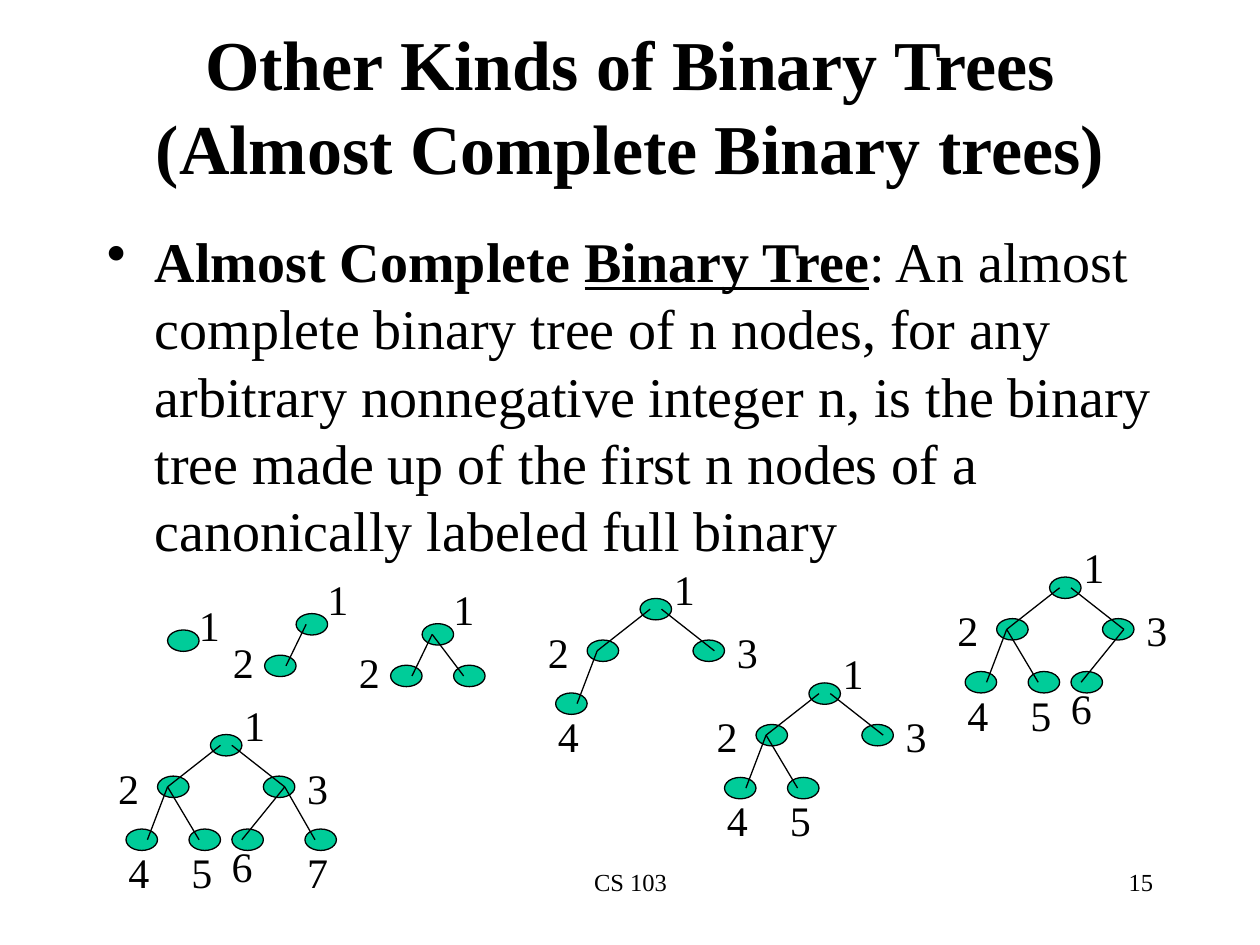
from dataclasses import dataclass
from typing import Optional

import pptx
import pptx.dml.color
import pptx.enum.shapes
import pptx.enum.text
import pptx.oxml.ns
import pptx.util
from lxml import etree

Inches = pptx.util.Inches
Pt = pptx.util.Pt
ALIGN = pptx.enum.text.PP_ALIGN

COLORS = {"text": "000000", "line": "000000", "node": "00CC99"}
FONT = "Times New Roman"
NODE_W, NODE_H = 0.25, 0.17
LABEL_W, LABEL_H = 0.36, 0.5
EDGE_LEFT, EDGE_RIGHT = 0.08, 0.17  # where edges meet a node, from its left side


@dataclass(frozen=True)
class Node:
    """A node placed relative to the root, its label and the edge from its parent."""
    x: float
    y: float
    label: str = ""
    label_x: float = 0
    label_y: float = 0
    parent: Optional[int] = None
    edge_start: float = EDGE_LEFT
    edge_end: float = EDGE_LEFT


@dataclass(frozen=True)
class Tree:
    x: float
    y: float
    nodes: list[Node]


LARGE = [
    Node(0, 0, "1", 0.17, -0.33),
    Node(-0.42, 0.33, "2", -0.83, 0.17, 0),
    Node(0.42, 0.33, "3", 0.67, 0.17, 0, EDGE_RIGHT, EDGE_RIGHT),
    Node(-0.67, 0.75, "4", -0.75, 0.84, 1, EDGE_LEFT, EDGE_RIGHT),
    Node(-0.17, 0.75, "5", -0.25, 0.84, 1),
    Node(0.17, 0.75, "6", 0.07, 0.79, 2, EDGE_RIGHT),
    Node(0.75, 0.75, "7", 0.67, 0.84, 2, EDGE_RIGHT),
]
SMALL = [
    Node(0, 0, "1", 0.15, -0.37),
    Node(-0.25, 0.33, "2", -0.6, 0.13, 0, EDGE_LEFT, EDGE_RIGHT),
    Node(0.25, 0.33, parent=0),
]
SINGLE = [Node(0, 0, "1", 0.15, -0.29)]

TREES = [
    Tree(1.33, 5, SINGLE),
    Tree(2.35, 4.87, SMALL[:2]),
    Tree(3.35, 4.95, SMALL),
    Tree(5.08, 4.75, LARGE[:4]),
    Tree(6.42, 5.42, LARGE[:5]),
    Tree(8.33, 4.58, LARGE[:6]),
    Tree(1.67, 5.83, LARGE),
]


def rgb(name: str) -> pptx.dml.color.RGBColor:
    return pptx.dml.color.RGBColor.from_string(COLORS[name])


def style(font, size: float, bold: bool = False) -> None:
    font.name, font.size, font.bold = FONT, Pt(size), bold
    font.color.rgb = rgb("text")


def add_text(s, text: str, x: float, y: float, w: float, h: float,
             size: float, align, wrap: bool = True) -> None:
    tf = s.shapes.add_textbox(Inches(x), Inches(y), Inches(w), Inches(h)).text_frame
    tf.word_wrap = wrap
    tf.text = text
    p = tf.paragraphs[0]
    p.alignment = align
    style(p.runs[0].font, size)


def add_node(s, x: float, y: float) -> None:
    sp = s.shapes.add_shape(pptx.enum.shapes.MSO_SHAPE.OVAL, Inches(x), Inches(y),
                            Inches(NODE_W), Inches(NODE_H))
    sp.shadow.inherit = False
    sp.fill.solid()
    sp.fill.fore_color.rgb = rgb("node")
    sp.line.color.rgb = rgb("line")
    sp.line.width = Pt(0.75)


def add_edge(s, x1: float, y1: float, x2: float, y2: float) -> None:
    edge = s.shapes.add_connector(pptx.enum.shapes.MSO_CONNECTOR.STRAIGHT,
                                  Inches(x1), Inches(y1), Inches(x2), Inches(y2))
    edge.line.color.rgb = rgb("line")
    edge.line.width = Pt(0.75)
    etree.SubElement(edge._element.spPr, pptx.oxml.ns.qn("a:effectLst"))


def add_tree(s, tree: Tree) -> None:
    for node in tree.nodes:
        add_node(s, tree.x + node.x, tree.y + node.y)
    mid = tree.y + NODE_H / 2
    for node in tree.nodes:
        if node.parent is not None:
            parent = tree.nodes[node.parent]
            add_edge(s, tree.x + parent.x + node.edge_start, mid + parent.y,
                     tree.x + node.x + node.edge_end, mid + node.y)
        if node.label:
            add_text(s, node.label, tree.x + node.label_x, tree.y + node.label_y,
                     LABEL_W, LABEL_H, 24, ALIGN.CENTER, wrap=False)


def add_title(s) -> None:
    title = s.shapes.title
    title.left, title.top = Inches(0.75), Inches(0.33)
    title.width, title.height = Inches(8.5), Inches(1)
    tf = title.text_frame
    tf.text = "Other Kinds of Binary Trees\v(Almost Complete Binary trees)"
    tf.auto_size = pptx.enum.text.MSO_AUTO_SIZE.NONE
    tf.vertical_anchor = pptx.enum.text.MSO_ANCHOR.MIDDLE
    p = tf.paragraphs[0]
    p.alignment = ALIGN.CENTER
    for r in p.runs:
        style(r.font, 40, bold=True)


def add_definition(s) -> None:
    tf = s.shapes.add_textbox(Inches(0.75), Inches(1.75), Inches(8.5), Inches(4.92)).text_frame
    tf.word_wrap = True
    p = tf.paragraphs[0]
    pPr = p._p.get_or_add_pPr()
    pPr.set("marL", str(Inches(0.38)))
    pPr.set("indent", str(-Inches(0.38)))
    etree.SubElement(pPr, pptx.oxml.ns.qn("a:buChar")).set("char", "•")
    parts = [
        ("Almost Complete ", True, False),
        ("Binary Tree", True, True),
        (": An almost complete binary tree of n nodes, for any arbitrary nonnegative "
         "integer n, is the binary tree made up of the first n nodes of a canonically "
         "labeled full binary", False, False),
    ]
    for text, bold, underline in parts:
        r = p.add_run()
        r.text = text
        style(r.font, 32, bold)
        r.font.underline = underline


def main() -> None:
    prs = pptx.Presentation()
    prs.slide_width, prs.slide_height = Inches(10), Inches(7.5)
    s = prs.slides.add_slide(prs.slide_layouts[5])
    add_title(s)
    add_definition(s)
    for tree in TREES:
        add_tree(s, tree)
    add_text(s, "CS 103", 3.42, 6.83, 3.17, 0.5, 14, ALIGN.CENTER)
    add_text(s, "15", 7.17, 6.83, 2.08, 0.5, 14, ALIGN.RIGHT)
    prs.save("out.pptx")


if __name__ == "__main__":
    main()
